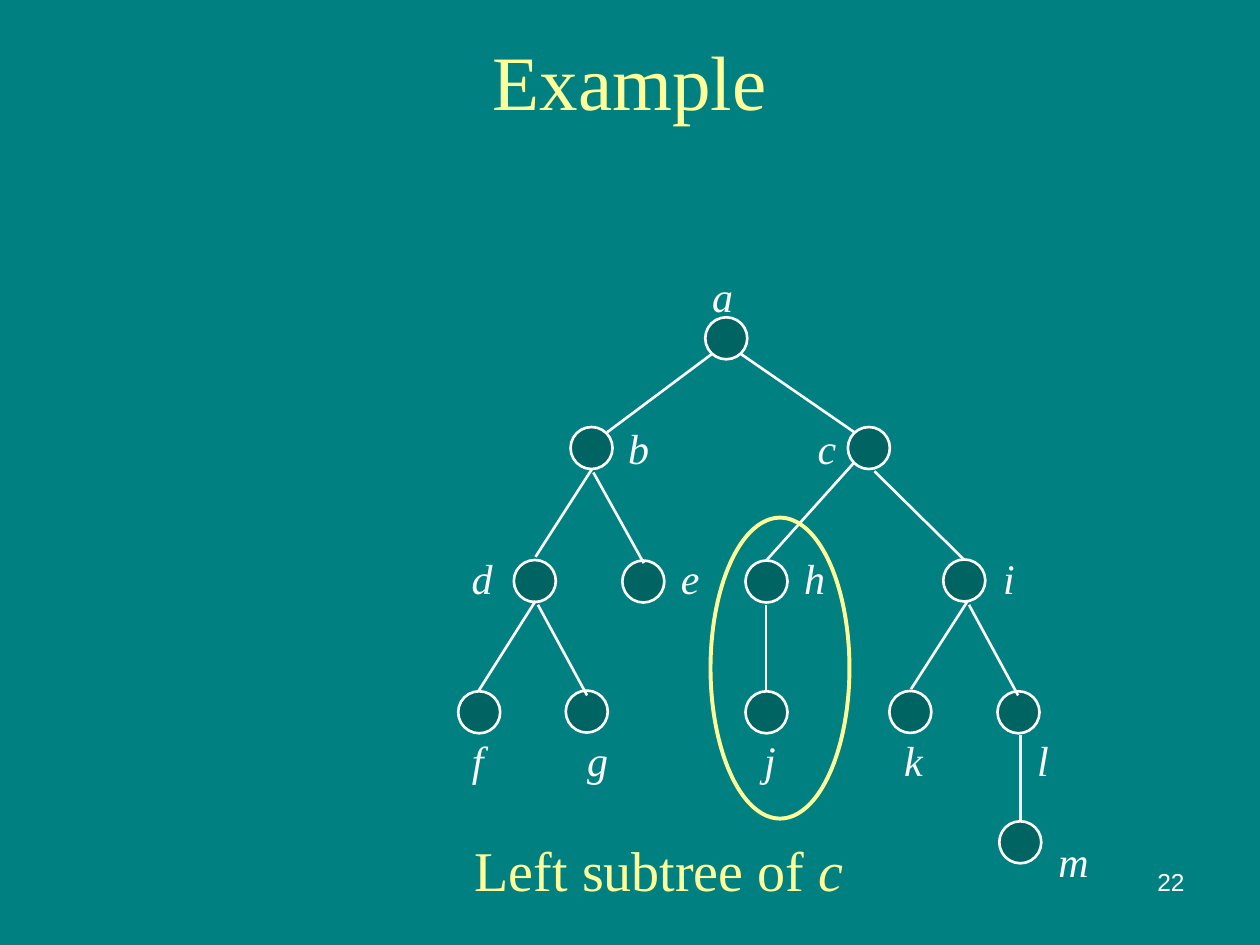
from pptx import Presentation
from pptx.dml.color import RGBColor
from pptx.enum.shapes import MSO_CONNECTOR as Link, MSO_SHAPE as Preset
from pptx.enum.text import MSO_ANCHOR as Anchor, PP_ALIGN as Align
from pptx.oxml.ns import qn
from pptx.util import Pt
from lxml.etree import SubElement

COLORS = {"ground": "008080", "node": "006462", "ink": "FFFFFF", "accent": "FFFF99"}
SERIF, SANS = "Times New Roman", "Arial"
NODE_SIZE = 24
LABEL_WIDTH, LABEL_HEIGHT = 36, 27.6

NODES = {
    "a": (415, 193.3), "b": (338, 256), "c": (496.5, 256),
    "d": (305.6, 332), "e": (367.6, 332.3), "h": (438, 332.3), "i": (551, 331.7),
    "f": (273.8, 407), "g": (335.3, 406.6), "j": (438, 407), "k": (520.2, 406.8),
    "l": (582, 407), "m": (583, 481.3),
}
LABEL_ROWS = [
    (154.5, {"a": 413}),
    (241.5, {"b": 365, "c": 472.5}),
    (316, {"d": 275.5, "e": 394.5, "h": 465.5, "i": 576.5}),
    (419.5, {"f": 273, "g": 341.5, "j": 440, "k": 522, "l": 596}),
    (477.5, {"m": 613.5}),
]
EDGES = [
    ((406.8, 202.3), (347, 247)), ((423.4, 202.3), (488.2, 247)),
    ((338.4, 267.8), (306, 318.2)), ((339.1, 270), (367.9, 321.8)),
    ((488.2, 264.2), (437.8, 320.4)), ((499.7, 269.3), (550.8, 319.7)),
    ((306, 343.4), (273.6, 394.6)), ((307.4, 345.6), (335.5, 397.4)),
    ((437.8, 345.6), (437.8, 395.3)),
    ((553, 343.4), (520.6, 393.8)), ((553.7, 345.6), (581.8, 397.4)),
    ((583.2, 419.8), (583.2, 469.4)),
]


class TreeSlide:
    """Hold the style and the current page, and draw each kind of element."""

    def __init__(self, deck):
        self.page = deck.slides.add_slide(deck.slide_layouts[6])
        fill = self.page.background.fill
        fill.solid()
        fill.fore_color.rgb = self.color("ground")

    def color(self, name):
        return RGBColor.from_string(COLORS[name])

    def text(self, words, left, top, width, height, size, color="ink", font=SERIF,
             align=Align.LEFT, anchor=Anchor.TOP, italic=False, inset=True):
        box = self.page.shapes.add_textbox(Pt(left), Pt(top), Pt(width), Pt(height))
        frame = box.text_frame
        frame.word_wrap = True
        frame.vertical_anchor = anchor
        if not inset:
            frame.margin_left = frame.margin_right = 0
            frame.margin_top = frame.margin_bottom = 0
        frame.text = words
        para = frame.paragraphs[0]
        para.alignment = align
        span = para.runs[0]
        self.style(span, size, color, font, italic)
        return para

    def style(self, span, size, color, font=SERIF, italic=False):
        span.font.size = Pt(size)
        span.font.name = font
        span.font.italic = italic
        span.font.color.rgb = self.color(color)

    def label(self, letter, center, top):
        self.text(letter, center - LABEL_WIDTH / 2, top, LABEL_WIDTH, LABEL_HEIGHT, 24,
                  align=Align.CENTER, italic=True, inset=False)

    def ellipse(self, left, top, width, height, line, weight, fill=None):
        oval = self.page.shapes.add_shape(
            Preset.OVAL, Pt(left), Pt(top), Pt(width), Pt(height))
        oval.shadow.inherit = False
        if fill:
            oval.fill.solid()
            oval.fill.fore_color.rgb = self.color(fill)
        else:
            oval.fill.background()
        oval.line.color.rgb = self.color(line)
        oval.line.width = Pt(weight)

    def node(self, x, y):
        self.ellipse(x - NODE_SIZE / 2, y - NODE_SIZE / 2, NODE_SIZE, NODE_SIZE,
                     "ink", 1.5, "node")

    def edge(self, start, end):
        line = self.page.shapes.add_connector(
            Link.STRAIGHT, *(Pt(value) for value in start + end))
        line.line.color.rgb = self.color("ink")
        line.line.width = Pt(1.5)
        SubElement(line.element.spPr, qn("a:effectLst"))


def main():
    deck = Presentation()
    deck.slide_width, deck.slide_height = Pt(720), Pt(540)
    tree = TreeSlide(deck)
    tree.text("Example", 36, 12.24, 648, 66.24, 44, "accent",
              align=Align.CENTER, anchor=Anchor.MIDDLE)
    for top, row in LABEL_ROWS:
        for letter, center in row.items():
            tree.label(letter, center, top)
    for x, y in NODES.values():
        tree.node(x, y)
    for start, end in EDGES:
        tree.edge(start, end)
    caption = tree.text("Left subtree of ", 264.24, 473.76, 253.44, 45.36, 32, "accent")
    span = caption.add_run()
    span.text = "c"
    tree.style(span, 32, "accent", italic=True)
    tree.ellipse(406, 295.8, 79.4, 172, "accent", 2.25)
    tree.text("22", 516.24, 491.76, 167.76, 37.44, 14, font=SANS, align=Align.RIGHT)
    deck.save("out.pptx")


if __name__ == "__main__":
    main()
